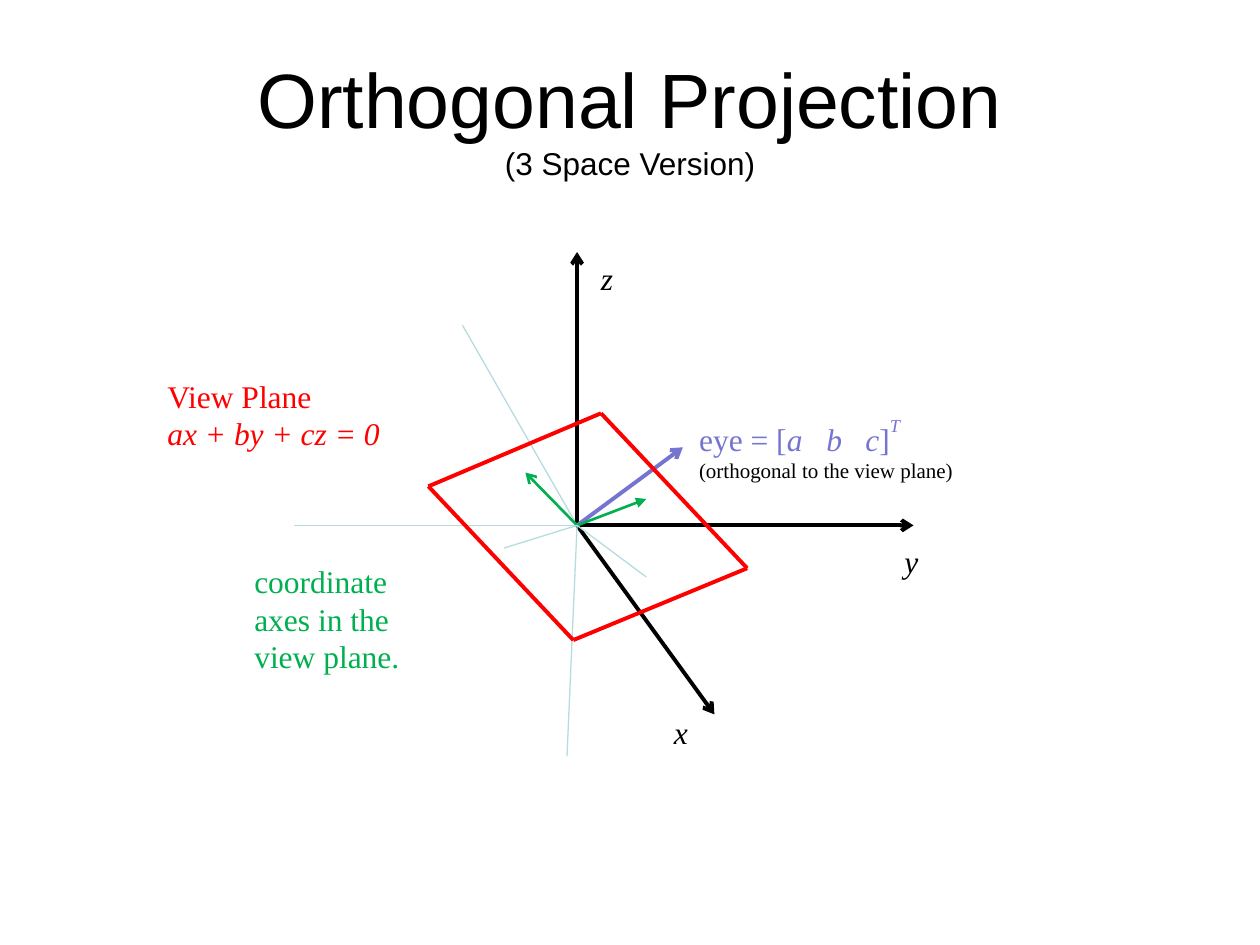
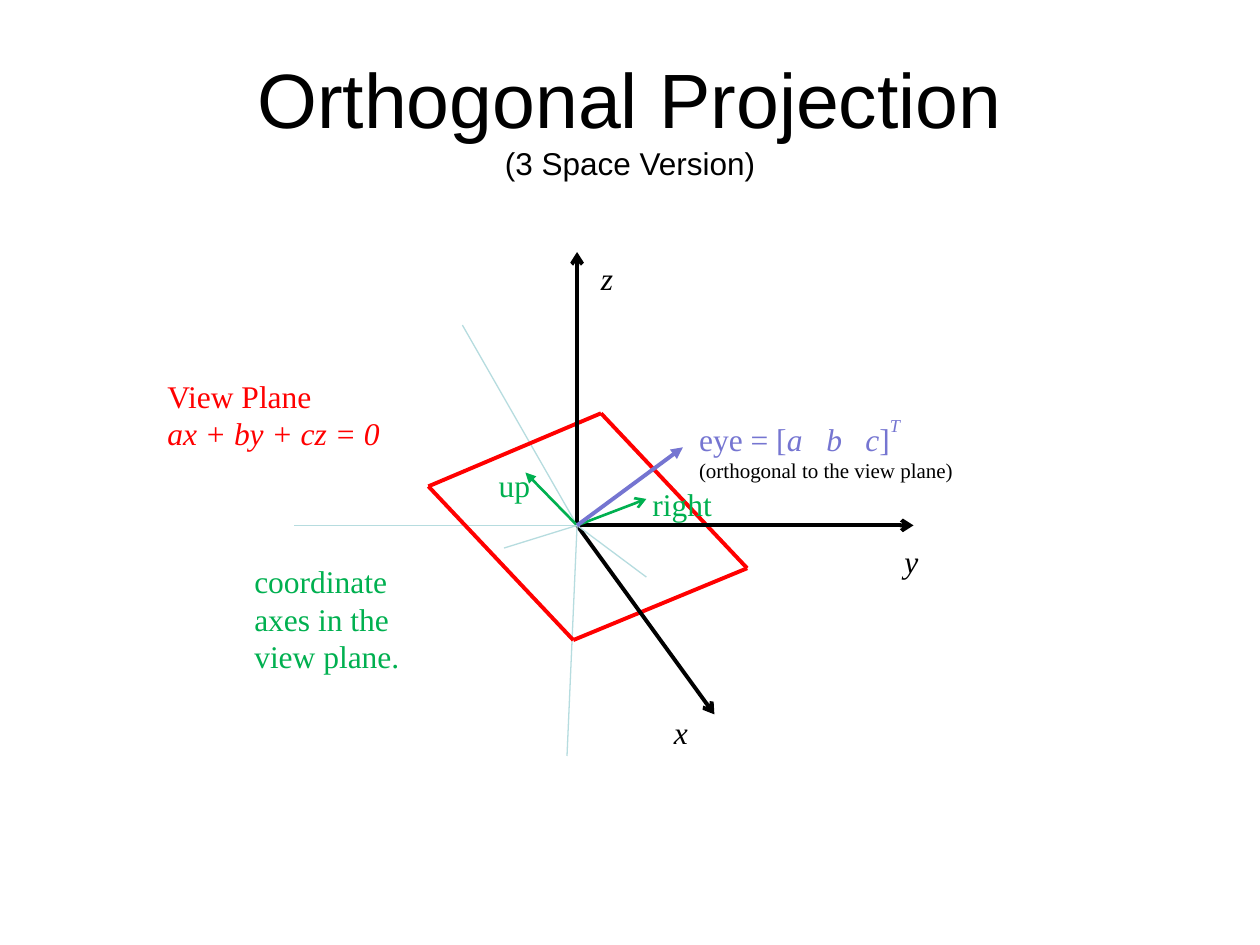
import pptx
import pptx.dml.color
import pptx.enum.shapes
import pptx.enum.text
import pptx.oxml.ns
import pptx.util

Inches = pptx.util.Inches
Pt = pptx.util.Pt
qn = pptx.oxml.ns.qn

COLORS = {
    "ink": "000000",
    "guide": "B6DCDF",
    "eye": "7575D1",
    "plane": "FF0000",
    "basis": "00B050",
}
TITLE_FONT = "Arial"
LABEL_FONT = "Times New Roman"

# Geometry of the diagram, in inches
ORIGIN = (4.58, 4.17)
AXIS_X, AXIS_Y, AXIS_Z = (5.67, 5.67), (7.25, 4.17), (4.58, 2)
EYE = (5.42, 3.55)
UP, RIGHT = (4.17, 3.75), (5.13, 3.96)
OUTER_GUIDES = [(2.33, 4.17), (4.5, 6), (3.67, 2.58)]
INNER_GUIDES = [(4, 4.35), (5.13, 4.58)]
PLANE_TOP, PLANE_RIGHT = (4.77, 3.28), (5.93, 4.51)
PLANE_BOTTOM, PLANE_LEFT = (4.55, 5.08), (3.4, 3.86)
AXIS_LABELS = {"z": (4.67, 2.01), "y": (7.08, 4.25), "x": (5.25, 5.61)}


class Deck:
    """Holds the presentation, its style and the current slide."""

    def __init__(self):
        self.presentation = pptx.Presentation()
        self.presentation.slide_width = Inches(10)
        self.presentation.slide_height = Inches(7.5)
        self.slide = None

    def new_slide(self):
        layout = self.presentation.slide_layouts[6]
        self.slide = self.presentation.slides.add_slide(layout)

    def style(self, font, color, size, name=LABEL_FONT, italic=False):
        font.name = name
        font.size = Pt(size)
        font.italic = italic
        font.color.rgb = pptx.dml.color.RGBColor.from_string(COLORS[color])

    def text_frame(self, left, top, width, height):
        shape = self.slide.shapes.add_textbox(
            Inches(left), Inches(top), Inches(width), Inches(height))
        shape.text_frame.word_wrap = True
        return shape.text_frame

    def title(self, heading, subheading):
        frame = self.text_frame(0.5, 0.3, 9, 1.25)
        frame.vertical_anchor = pptx.enum.text.MSO_ANCHOR.MIDDLE
        paragraph = frame.paragraphs[0]
        paragraph.alignment = pptx.enum.text.PP_ALIGN.CENTER
        self.style(paragraph.font, "ink", 44, TITLE_FONT)
        paragraph.add_run().text = heading
        paragraph.add_line_break()
        run = paragraph.add_run()
        run.text = subheading
        run.font.size = Pt(18)

    def label(self, box, lines):
        """Each line is (text, color, size, italic)."""
        frame = self.text_frame(*box)
        frame.auto_size = pptx.enum.text.MSO_AUTO_SIZE.SHAPE_TO_FIT_TEXT
        for index, (text, color, size, italic) in enumerate(lines):
            paragraph = frame.paragraphs[0] if index == 0 else frame.add_paragraph()
            paragraph.add_run().text = text
            self.style(paragraph.font, color, size, italic=italic)
        return frame

    def tab_stops(self, paragraph, positions):
        properties = paragraph._p.get_or_add_pPr()
        tab_list = properties.makeelement(qn("a:tabLst"), {})
        for position in positions:
            tab_list.append(tab_list.makeelement(
                qn("a:tab"), {"pos": str(Inches(position)), "algn": "l"}))
        properties.insert(0, tab_list)

    def line(self, start, end, color, width, head=None):
        connector = self.slide.shapes.add_connector(
            pptx.enum.shapes.MSO_CONNECTOR.STRAIGHT,
            *(Inches(value) for value in (*start, *end)))
        connector.line.width = Pt(width)
        connector.line.color.rgb = pptx.dml.color.RGBColor.from_string(COLORS[color])
        properties = connector._element.spPr
        if head:
            outline = properties.find(qn("a:ln"))
            outline.append(outline.makeelement(qn("a:tailEnd"), {"type": head}))
        properties.append(properties.makeelement(qn("a:effectLst"), {}))

    def rays(self, ends, color, width, head=None):
        for end in ends:
            self.line(ORIGIN, end, color, width, head)

    def outline(self, corners):
        for start, end in zip(corners, corners[1:]):
            self.line(start, end, "plane", 2.25)


def add_title_and_axis_labels(deck):
    deck.title("Orthogonal Projection", "(3 Space Version)")
    for name, (left, top) in AXIS_LABELS.items():
        deck.label((left, top, 0.33, 0.4), [(name, "ink", 18, True)])


def add_ground_axes(deck):
    deck.rays([AXIS_Y, AXIS_X], "ink", 2.25, "arrow")
    deck.rays(OUTER_GUIDES, "guide", 0.75)


def add_plane_and_eye_labels(deck):
    deck.label((1.23, 2.94, 2.25, 0.7), [
        ("View Plane", "plane", 18, False),
        ("ax + by + cz = 0", "plane", 18, True),
    ])
    frame = deck.label((5.45, 3.24, 3.36, 0.65), [
        ("eye = [", "eye", 18, False),
        ("(orthogonal to the view plane)", "ink", 12, False),
    ])
    # The vector components, with a raised transpose mark
    paragraph = frame.paragraphs[0]
    deck.tab_stops(paragraph, [1.01, 1.32])
    for text, italic in [("a\tb\tc", True), ("]", False), ("T", True)]:
        run = paragraph.add_run()
        run.text = text
        run.font.italic = italic
    run._r.get_or_add_rPr().set("baseline", "60000")


def add_basis(deck, up_head, right_head):
    deck.rays([UP], "basis", 1.5, up_head)
    deck.rays([RIGHT], "basis", 1.5, right_head)
    deck.rays(INNER_GUIDES, "guide", 0.75)
    deck.label((1.92, 4.41, 1.67, 1),
               [("coordinate axes in the view plane.", "basis", 18, False)])


def add_axes_slide(deck):
    deck.new_slide()
    add_title_and_axis_labels(deck)
    add_ground_axes(deck)
    deck.rays([AXIS_Z], "ink", 2.25, "arrow")
    deck.rays([EYE], "eye", 2.25, "arrow")
    add_plane_and_eye_labels(deck)
    deck.outline([PLANE_TOP, PLANE_RIGHT, PLANE_BOTTOM, PLANE_LEFT, PLANE_TOP])
    add_basis(deck, "arrow", "triangle")


def add_named_axes_slide(deck):
    deck.new_slide()
    # Here the view plane lies behind the axes
    deck.outline([PLANE_TOP, PLANE_RIGHT, PLANE_BOTTOM])
    add_title_and_axis_labels(deck)
    add_ground_axes(deck)
    deck.outline([PLANE_BOTTOM, PLANE_LEFT, PLANE_TOP])
    deck.rays([AXIS_Z], "ink", 2.25, "arrow")
    add_plane_and_eye_labels(deck)
    add_basis(deck, "triangle", "arrow")
    deck.label((5.08, 3.8, 0.76, 0.4), [("right", "basis", 18, False)])
    deck.label((3.86, 3.65, 0.47, 0.4), [("up", "basis", 18, False)])
    deck.rays([EYE], "eye", 2.25, "triangle")


def main():
    deck = Deck()
    add_axes_slide(deck)
    add_named_axes_slide(deck)
    deck.presentation.save("out.pptx")


if __name__ == "__main__":
    main()
